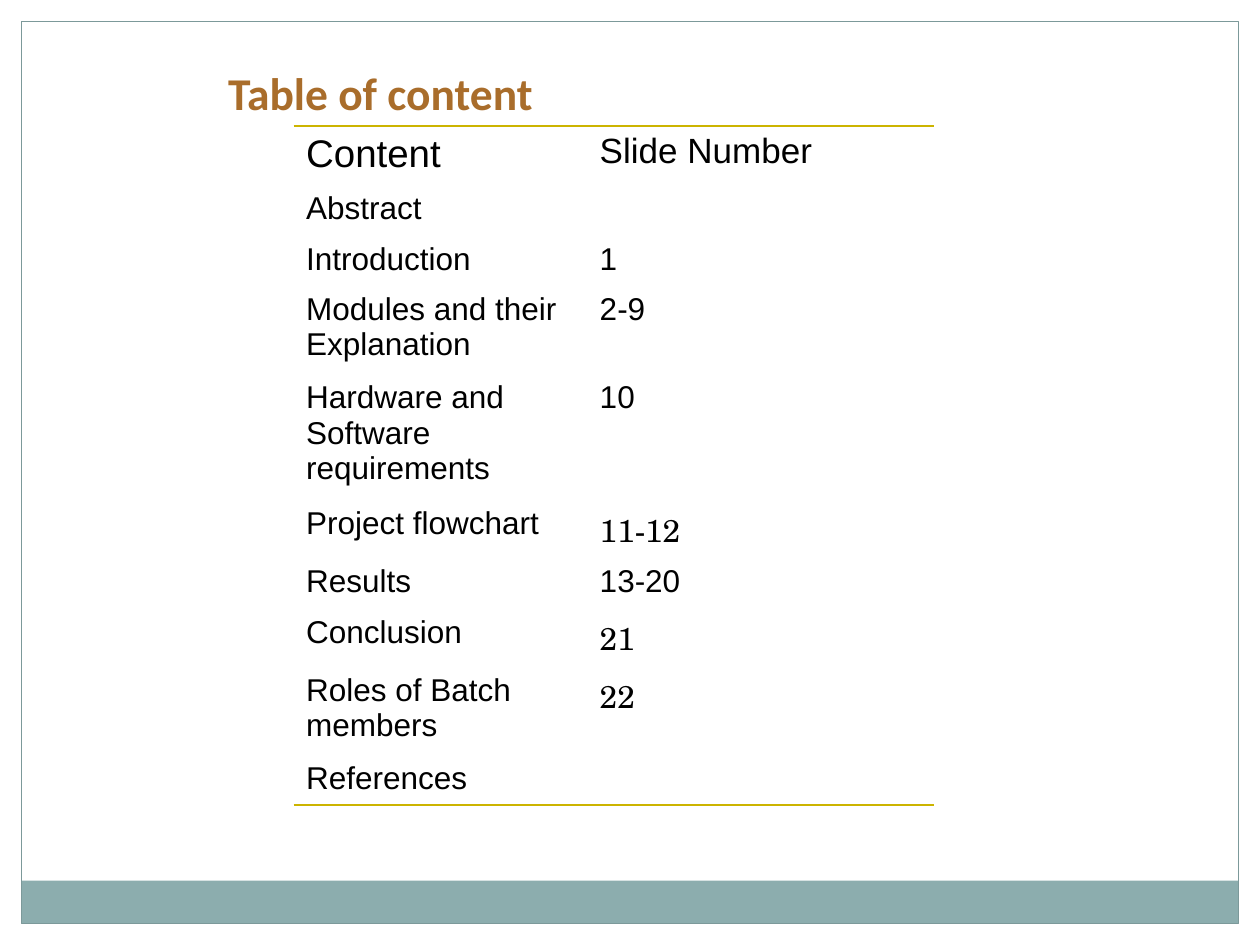
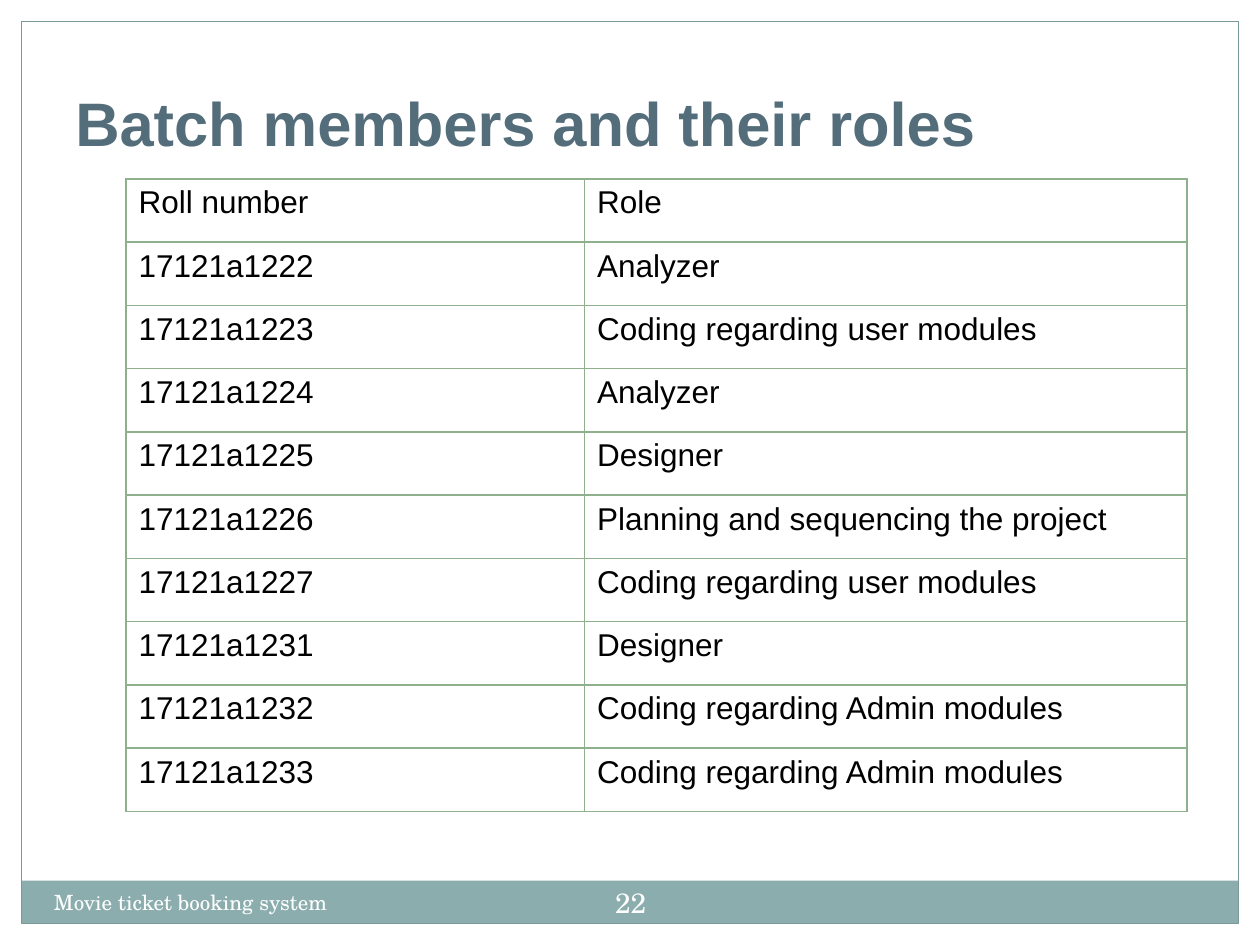
from lxml import etree
from pptx import Presentation
from pptx import util as u
from pptx.dml.color import RGBColor
from pptx.enum import shapes, text
from pptx.oxml import ns

BAND, FRAME, WHITE, BLACK = "8CADAE", "7C999A", "FFFFFF", "000000"
BROWN, SLATE, GOLD, GREEN = "A96D2B", "546D7A", "CCB400", "8FB08C"
SANS, SERIF, TITLE_SANS = "Arial", "TeX Gyre Schola", "Calibri"
SLIDE_WIDTH, SLIDE_HEIGHT, EDGE = 10, 7.5, 0.17

CONTENTS = [
    ("Content", "Slide Number"),
    ("Abstract", ""),
    ("Introduction", "1"),
    ("Modules and their Explanation", "2-9"),
    ("Hardware and Software requirements", "10"),
    ("Project flowchart", "11-12"),
    ("Results", "13-20"),
    ("Conclusion", "21"),
    ("Roles of Batch members", "22"),
    ("References", ""),
]
CONTENT_HEIGHTS = [0.45, 0.38, 0.38, 0.66, 0.94, 0.46, 0.38, 0.46, 0.66, 0.38]
SERIF_NUMBERS = {"11-12", "21", "22"}

ROLES = [
    ("Roll number", "Role"),
    ("17121a1222", "Analyzer"),
    ("17121a1223", "Coding regarding user modules"),
    ("17121a1224", "Analyzer"),
    ("17121a1225", "Designer"),
    ("17121a1226", "Planning and sequencing the project"),
    ("17121a1227", "Coding regarding user modules"),
    ("17121a1231", "Designer"),
    ("17121a1232", "Coding regarding Admin modules"),
    ("17121a1233", "Coding regarding Admin modules"),
]
ROLES_HEIGHT = 5.02


def color(value):
    """Turn a hex string into a colour."""
    return RGBColor.from_string(value)


def add_run(paragraph, words, size, font, fill, bold=False):
    """Add one formatted run to a paragraph."""
    run = paragraph.add_run()
    run.text = words
    run.font.size = u.Pt(size)
    run.font.name = font
    run.font.bold = bold
    run.font.color.rgb = color(fill)


def add_label(slide, box, words, size, font, fill, bold=False, inset=(0.1, 0.05),
              anchor=text.MSO_ANCHOR.MIDDLE, align=text.PP_ALIGN.LEFT):
    """Place one line of text in a box."""
    frame = slide.shapes.add_textbox(*map(u.Inches, box)).text_frame
    frame.word_wrap = True
    frame.vertical_anchor = anchor
    frame.margin_left = frame.margin_right = u.Inches(inset[0])
    frame.margin_top = frame.margin_bottom = u.Inches(inset[1])
    paragraph = frame.paragraphs[0]
    paragraph.alignment = align
    add_run(paragraph, words, size, font, fill, bold)


def add_rectangle(slide, box, fill=None, line=None):
    """Draw a flat rectangle with an optional fill and outline."""
    shape = slide.shapes.add_shape(shapes.MSO_SHAPE.RECTANGLE, *map(u.Inches, box))
    shape.shadow.inherit = False
    for part, value in ((shape.fill, fill), (shape.line.fill, line)):
        if value:
            part.solid()
            part.fore_color.rgb = color(value)
        else:
            part.background()
    if line:
        shape.line.width = u.Pt(0.75)


def set_borders(cell, borders):
    """Draw the given sides of a cell and clear the others."""
    properties = cell._tc.get_or_add_tcPr()
    for side in "LRTB":
        line = etree.SubElement(properties, ns.qn(f"a:ln{side}"), w=str(u.Pt(1)))
        if side in borders:
            fill = etree.SubElement(line, ns.qn("a:solidFill"))
            etree.SubElement(fill, ns.qn("a:srgbClr"), val=borders[side])
        else:
            etree.SubElement(line, ns.qn("a:noFill"))


def add_grid(slide, left, top, widths, heights, rows, borders_at, style_at):
    """Place a plain table, asking for the borders and text style of each cell."""
    frame = slide.shapes.add_table(len(rows), len(widths), *map(
        u.Inches, (left, top, sum(widths), sum(heights))))
    table = frame.table
    table.first_row = table.horz_banding = False
    for column, width in zip(table.columns, widths):
        column.width = u.Inches(width)
    for index, (row, height, values) in enumerate(zip(table.rows, heights, rows)):
        row.height = u.Inches(height)
        for position, (cell, words) in enumerate(zip(row.cells, values)):
            set_borders(cell, borders_at(index))
            cell.fill.background()
            size, font = style_at(index, position, words)
            paragraph = cell.text_frame.paragraphs[0]
            if words:
                add_run(paragraph, words, size, font, BLACK)
            else:
                end = etree.SubElement(paragraph._p, ns.qn("a:endParaRPr"), sz=str(size * 100))
                etree.SubElement(end, ns.qn("a:latin"), typeface=font)


def add_base(presentation):
    """Add a blank slide with the shared white edges, bottom band and frame."""
    slide = presentation.slides.add_slide(presentation.slide_layouts[6])
    add_rectangle(slide, (0, 0, SLIDE_WIDTH, EDGE), fill=WHITE)
    for left in (SLIDE_WIDTH - EDGE, 0):
        add_rectangle(slide, (left, 0, EDGE, SLIDE_HEIGHT), fill=WHITE)
    add_rectangle(slide, (EDGE, 6.99, SLIDE_WIDTH - 2 * EDGE, 0.34), fill=BAND)
    add_rectangle(slide, (EDGE, EDGE, SLIDE_WIDTH - 2 * EDGE, SLIDE_HEIGHT - 2 * EDGE),
                  line=FRAME)
    return slide


def add_footer(slide, words, number):
    """Write the running title and slide number on the band."""
    add_label(slide, (0.33, 7.01, 3.92, 0.4), words, 12, SERIF, WHITE,
              anchor=text.MSO_ANCHOR.TOP)
    add_label(slide, (4.67, 6.92, 0.67, 0.48), number, 16, SERIF, WHITE,
              inset=(0.05, 0.05), align=text.PP_ALIGN.CENTER)


def build_contents(presentation):
    """Build the table of content slide."""
    last = len(CONTENTS) - 1

    def borders_at(index):
        """Rule off the top and bottom of the table."""
        return {0: {"T": GOLD}, last: {"B": GOLD}}.get(index, {})

    def style_at(index, position, words):
        """Enlarge the header and set some numbers in serif."""
        size = (22, 20)[position] if index == 0 else 18
        return size, SERIF if words in SERIF_NUMBERS else SANS

    slide = add_base(presentation)
    add_label(slide, (1.81, 0.3, 7.69, 0.87), "Table of content", 26, TITLE_SANS, BROWN,
              bold=True, inset=(0, 0))
    add_grid(slide, 2.33, 1, (2.33, 2.75), CONTENT_HEIGHTS, CONTENTS, borders_at, style_at)


def build_roles(presentation):
    """Build the batch members slide."""
    slide = add_base(presentation)
    heights = [ROLES_HEIGHT / len(ROLES)] * len(ROLES)
    add_grid(slide, 1, 1.42, (3.64, 4.78), heights, ROLES,
             lambda index: dict.fromkeys("LRTB", GREEN),
             lambda index, position, words: (18, SANS))
    add_label(slide, (0.5, 0.34, 9, 1.25), "Batch members and their roles", 35.1, SANS,
              SLATE, bold=True)
    add_footer(slide, "Movie ticket booking system", "22")


def main():
    """Build and save the presentation."""
    presentation = Presentation()
    presentation.slide_width = u.Inches(SLIDE_WIDTH)
    presentation.slide_height = u.Inches(SLIDE_HEIGHT)
    build_contents(presentation)
    build_roles(presentation)
    presentation.save("out.pptx")


if __name__ == "__main__":
    main()
